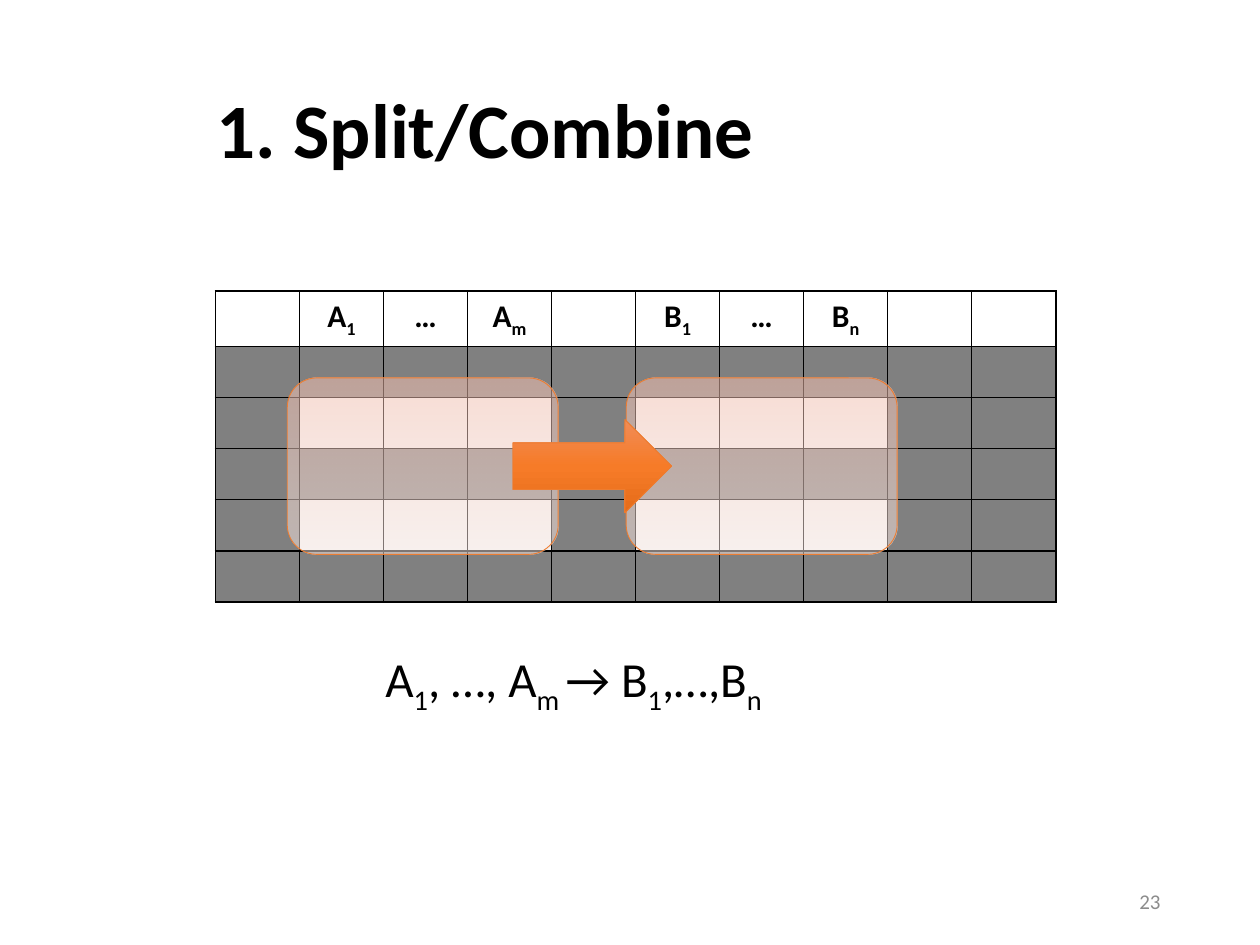
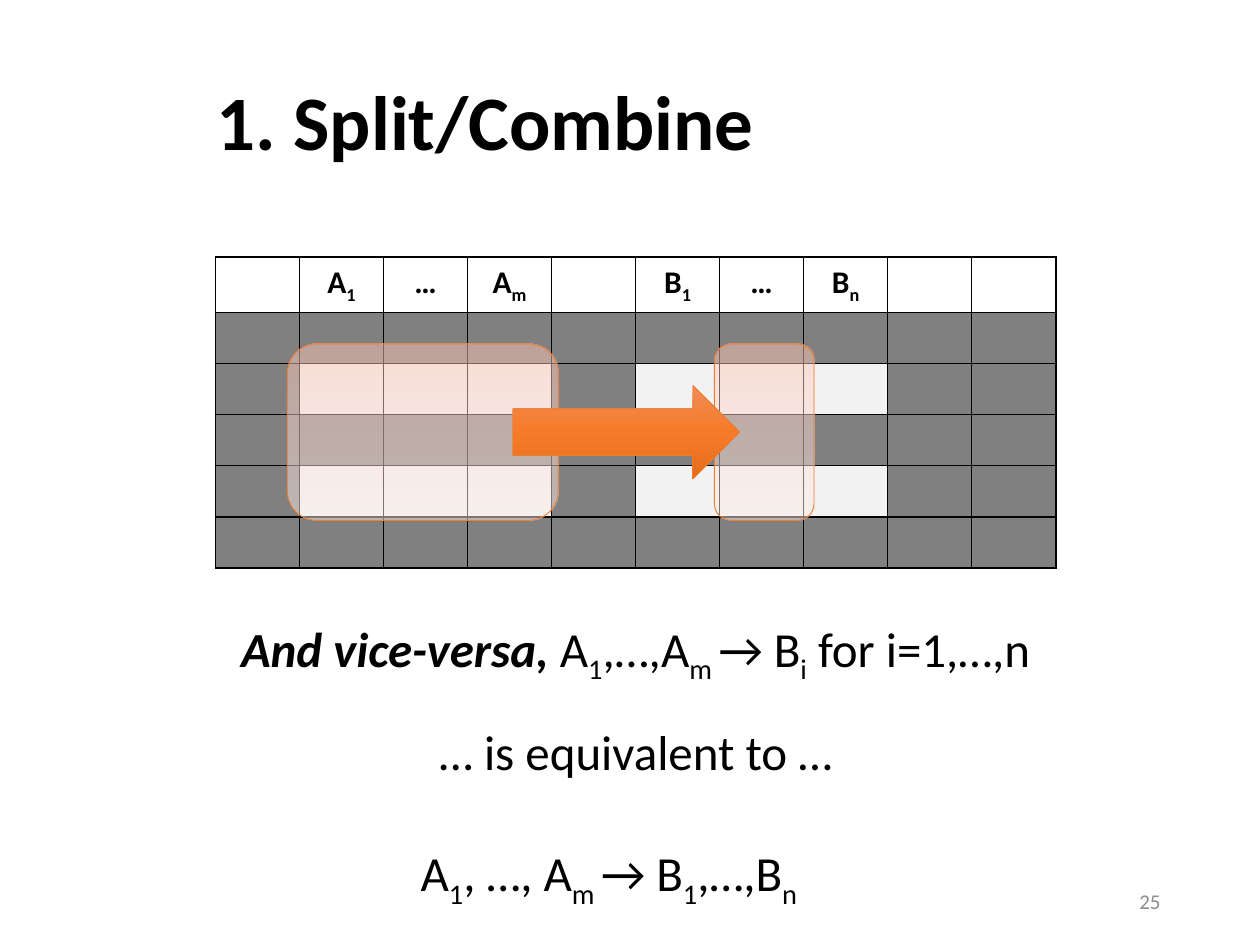
from lxml import etree
from pptx import Presentation
from pptx.dml.color import RGBColor
from pptx.enum.shapes import MSO_SHAPE
from pptx.enum.text import MSO_ANCHOR, MSO_AUTO_SIZE, PP_ALIGN
from pptx.oxml.ns import qn
from pptx.util import Inches, Pt

LEFT, CENTER, RIGHT = PP_ALIGN.LEFT, PP_ALIGN.CENTER, PP_ALIGN.RIGHT
MIDDLE = MSO_ANCHOR.MIDDLE
ROUNDED, RIGHT_ARROW = MSO_SHAPE.ROUNDED_RECTANGLE, MSO_SHAPE.RIGHT_ARROW
NO_FIT, GROW = MSO_AUTO_SIZE.NONE, MSO_AUTO_SIZE.SHAPE_TO_FIT_TEXT

TITLE = "1. Split/Combine"
TABLE_LEFT, TABLE_WIDTH, TABLE_HEIGHT = 1.71, 6.67, 2.43
HEADERS = ["", "A|1", "…", "A|m", "", "B|1", "…", "B|n", "", ""]
ROW_COUNT = 6
LIGHT_ROWS = (2, 4)
DEPENDENCY = "A|1|, …, A|m |→ B|1|,…,B|n"
GROUP_STOPS = [(0, "FFC7B6"), (35, "FFD7CB"), (100, "FFF0EB")]
ARROW_STOPS = [(0, "F18C57"), (50, "F67B28"), (100, "E56C19")]


def color(value):
    return RGBColor.from_string(value)


class Deck:
    font = "Calibri"
    black, white, dark, light = "000000", "FFFFFF", "808080", "F2F2F2"
    accent, muted = "ED7D31", "8C8C8C"

    def __init__(self):
        self.presentation = Presentation()
        self.presentation.slide_width = Inches(10)
        self.presentation.slide_height = Inches(7.5)
        self.slide = None

    def add_slide(self, title_top, number):
        self.slide = self.presentation.slides.add_slide(self.presentation.slide_layouts[5])
        title = self.slide.shapes.title
        title.left, title.top = Inches(1.62), Inches(title_top)
        title.width, title.height = Inches(6.75), Inches(0.94)
        title.text_frame.auto_size = NO_FIT
        title.text_frame.vertical_anchor = MIDDLE
        paragraph = title.text_frame.paragraphs[0]
        paragraph.line_spacing = 0.9
        self.fill_paragraph(paragraph, TITLE, 44, LEFT, bold=True)
        self.text(str(number), 7.06, 6.95, 2.25, 0.4, 12, RIGHT, self.muted, anchor=MIDDLE)

    def fill_paragraph(self, paragraph, text, size, align, text_color=black, bold=False, lead=""):
        paragraph.alignment = align
        font = paragraph.font
        font.name, font.size, font.bold = self.font, Pt(size), bold
        font.color.rgb = color(text_color)
        if lead:
            run = paragraph.add_run()
            run.text = lead
            run.font.bold = run.font.italic = True
        for index, piece in enumerate(text.split("|")):
            run = paragraph.add_run()
            run.text = piece
            if index % 2:
                run._r.get_or_add_rPr().set("baseline", "-25000")

    def text(self, text, left, top, width, height=0.57, size=28, align=LEFT,
             text_color=black, anchor=None, lead=""):
        box = self.slide.shapes.add_textbox(Inches(left), Inches(top), Inches(width), Inches(height))
        frame = box.text_frame
        frame.word_wrap = True
        frame.auto_size = NO_FIT if anchor else GROW
        frame.vertical_anchor = anchor
        self.fill_paragraph(frame.paragraphs[0], text, size, align, text_color, lead=lead)

    def table(self, top):
        table = self.slide.shapes.add_table(
            ROW_COUNT, len(HEADERS), Inches(TABLE_LEFT), Inches(top),
            Inches(TABLE_WIDTH), Inches(TABLE_HEIGHT)).table
        table.first_row = table.horz_banding = False
        for row in range(ROW_COUNT):
            for column, header in enumerate(HEADERS):
                cell = table.cell(row, column)
                self.border(cell)
                if row == 0:
                    fill = self.white
                elif row in LIGHT_ROWS and header:
                    fill = self.light
                else:
                    fill = self.dark
                cell.fill.solid()
                cell.fill.fore_color.rgb = color(fill)
                if row == 0 and header:
                    self.fill_paragraph(cell.text_frame.paragraphs[0], header, 18, CENTER, bold=True)

    def border(self, cell):
        properties = cell._tc.get_or_add_tcPr()
        for side in ("lnL", "lnR", "lnT", "lnB"):
            line = etree.SubElement(properties, qn(f"a:{side}"), w=str(Pt(1)))
            fill = etree.SubElement(line, qn("a:solidFill"))
            etree.SubElement(fill, qn("a:srgbClr"), val=self.black)

    def gradient_shape(self, kind, left, top, width, height, stops, opacity=100):
        shape = self.slide.shapes.add_shape(
            kind, Inches(left), Inches(top), Inches(width), Inches(height))
        shape.shadow.inherit = False
        shape.line.color.rgb = color(self.accent)
        shape.line.width = Pt(0.5)
        shape.fill.gradient()
        shape.fill.gradient_angle = 270
        stop_list = shape._element.spPr.find(".//" + qn("a:gsLst"))
        for stop in list(stop_list):
            stop_list.remove(stop)
        for position, value in stops:
            stop = etree.SubElement(stop_list, qn("a:gs"), pos=str(position * 1000))
            stop_color = etree.SubElement(stop, qn("a:srgbClr"), val=value)
            if opacity < 100:
                etree.SubElement(stop_color, qn("a:alpha"), val=str(opacity * 1000))

    def dependency_table(self, top, target_left, target_width, arrow_width):
        self.table(top)
        for left, width in ((2.28, 2.15), (target_left, target_width)):
            self.gradient_shape(ROUNDED, left, top + 0.69, width, 1.4, GROUP_STOPS, 50)
        self.gradient_shape(RIGHT_ARROW, 4.07, top + 1.02, arrow_width, 0.74, ARROW_STOPS)


def main():
    deck = Deck()

    deck.add_slide(0.59, 23)
    deck.dependency_table(2.31, 4.97, 2.15, 1.26)
    deck.text(DEPENDENCY, 2.96, 5.1, 4.17)

    deck.add_slide(0.53, 25)
    deck.dependency_table(2.04, 5.67, 0.79, 1.8)
    deck.text("A|1|,…,A|m |→ B|i| for i=1,…,n", TABLE_LEFT, 4.86, TABLE_WIDTH,
              align=CENTER, lead="And vice-versa, ")
    deck.text("… is equivalent to …", TABLE_LEFT, 5.68, TABLE_WIDTH, align=CENTER)
    deck.text(DEPENDENCY, 3.24, 6.64, 4.17)

    deck.presentation.save("out.pptx")


if __name__ == "__main__":
    main()
